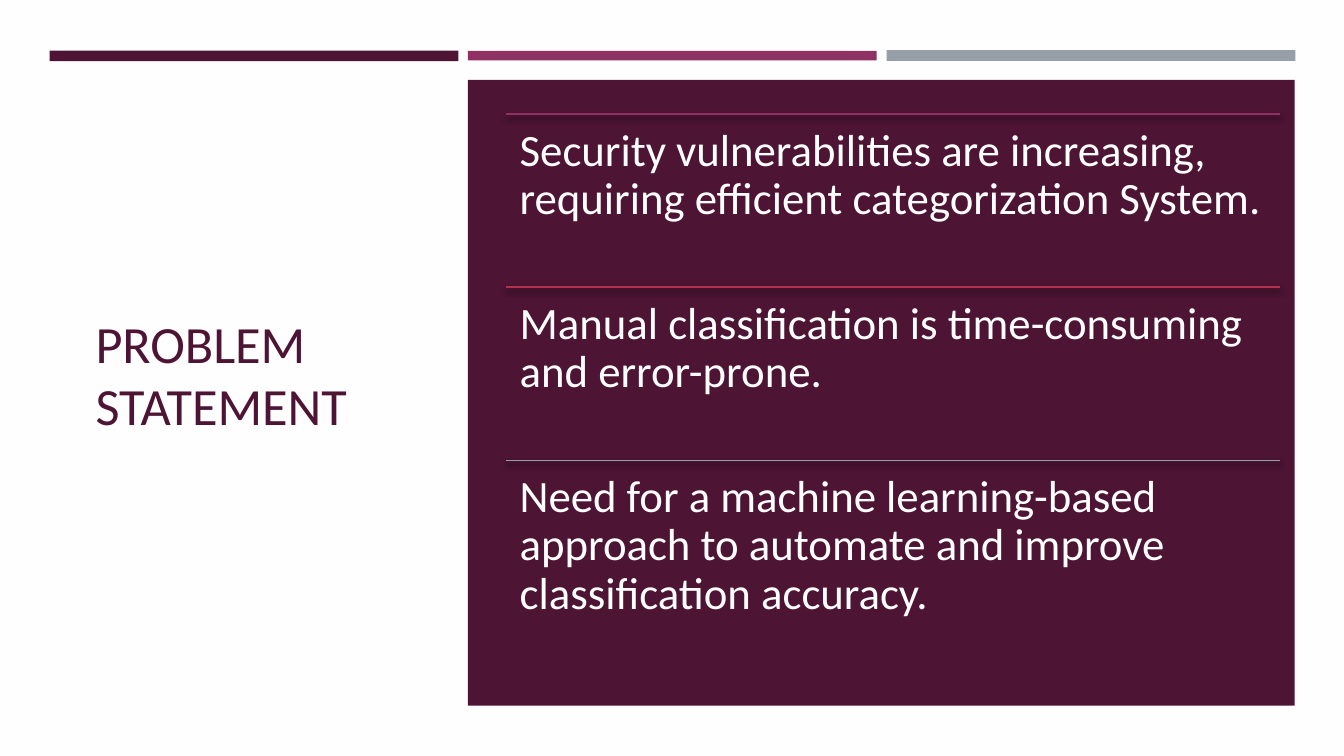
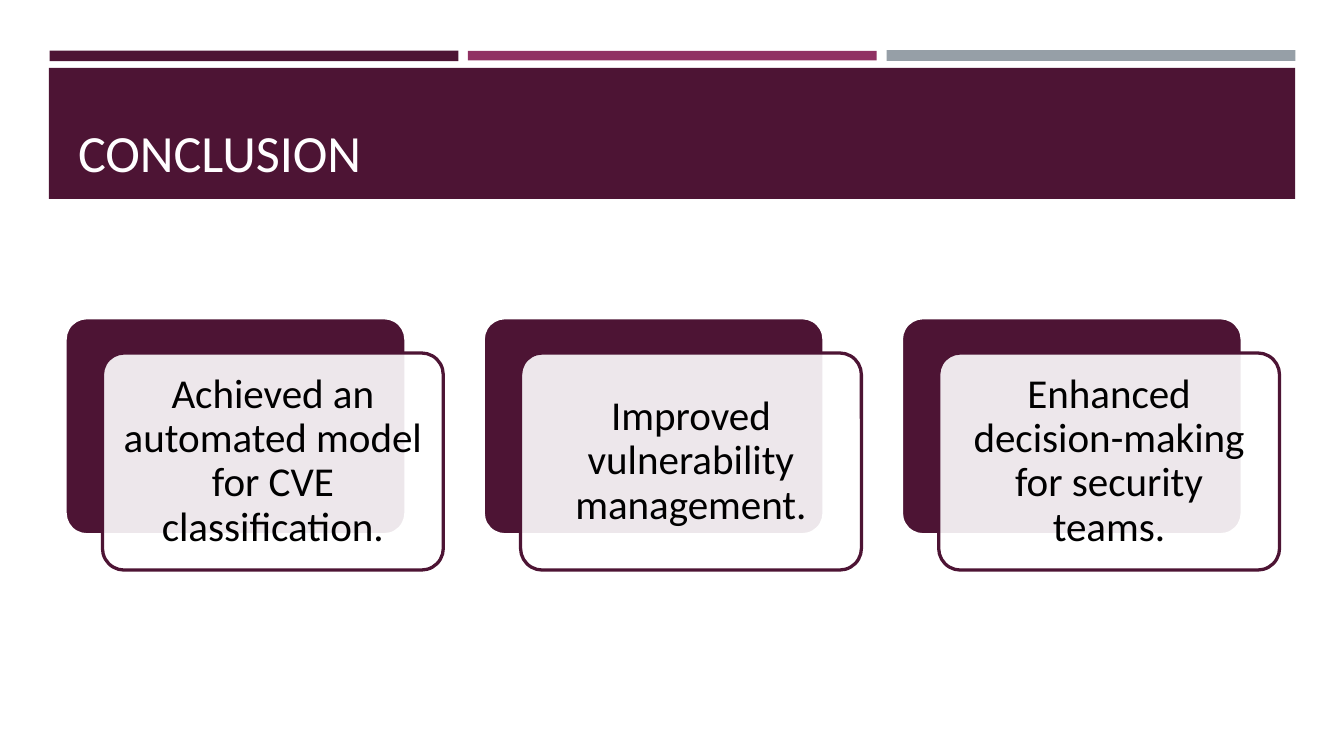
from dataclasses import dataclass

from lxml import etree
from pptx import Presentation
from pptx.dml.color import RGBColor
from pptx.enum.shapes import MSO_CONNECTOR, MSO_SHAPE
from pptx.enum.text import MSO_ANCHOR, MSO_AUTO_SIZE, PP_ALIGN
from pptx.oxml.ns import qn
from pptx.util import Pt

RECT, ROUND = MSO_SHAPE.RECTANGLE, MSO_SHAPE.ROUNDED_RECTANGLE
STRAIGHT = MSO_CONNECTOR.STRAIGHT
LEFT, CENTER = PP_ALIGN.LEFT, PP_ALIGN.CENTER
TOP, MIDDLE, BOTTOM = MSO_ANCHOR.TOP, MSO_ANCHOR.MIDDLE, MSO_ANCHOR.BOTTOM
FIXED = MSO_AUTO_SIZE.NONE

FONT = "Calibri"
PLUM, BERRY, GRAY, RED = "4D1434", "903163", "969FA7", "B2324B"
PAPER, WHITE, BLACK = "FFFEFF", "FFFFFF", "000000"
TITLE_ONLY = 5


@dataclass(frozen=True)
class Box:
    left: float
    top: float
    width: float
    height: float

    def move(self, right=0.0, down=0.0):
        return Box(self.left + right, self.top + down, self.width, self.height)

    def frame(self):
        return Pt(self.left), Pt(self.top), Pt(self.width), Pt(self.height)


@dataclass(frozen=True)
class Point:
    text: str
    color: str


BANDS = (
    (Box(26.6, 27.2, 219, 5.6), PLUM),
    (Box(250.6, 27.2, 219, 5.2), BERRY),
    (Box(475, 26.8, 219, 5.8), GRAY),
)
POINTS = (
    Point("Security vulnerabilities are increasing, requiring efficient "
          "categorization System.", BERRY),
    Point("Manual classification is time-consuming and error-prone.", RED),
    Point("Need for a machine learning-based approach to automate and improve "
          "classification accuracy.", GRAY),
)
GAINS = (
    "Achieved an automated model for CVE classification.",
    "Improved vulnerability management.",
    "Enhanced decision-making for security teams.",
)
ROW = Box(271.3, 61.3, 414.5, 92.7)
CARD = Box(34.9, 170.2, 182.6, 116.3)
PITCH = 224


def rgb(code: str) -> RGBColor:
    return RGBColor.from_string(code)


def write(shape, text: str, *, size: float, color: str, align=LEFT,
          anchor=TOP, pad=(7.2, 3.6), space=1.0) -> None:
    frame = shape.text_frame
    frame.word_wrap = True
    frame.auto_size = FIXED
    frame.vertical_anchor = anchor
    frame.margin_left = frame.margin_right = Pt(pad[0])
    frame.margin_top = frame.margin_bottom = Pt(pad[1])
    para = frame.paragraphs[0]
    para.alignment = align
    para.line_spacing = space
    run = para.add_run()
    run.text = text
    run.font.name = FONT
    run.font.size = Pt(size)
    run.font.color.rgb = rgb(color)


def block(slide, box: Box, fill: str, *, kind=RECT, line: str = ""):
    shape = slide.shapes.add_shape(kind, *box.frame())
    shape.shadow.inherit = False
    shape.fill.solid()
    shape.fill.fore_color.rgb = rgb(fill)
    if line:
        shape.line.color.rgb = rgb(line)
        shape.line.width = Pt(1.75)
    else:
        shape.line.fill.background()
    if kind == ROUND:
        shape.adjustments[0] = 0.1
    return shape


def fade(node, alpha: int) -> None:
    etree.SubElement(node, qn("a:alpha"), val=str(alpha * 1000))


def rule(slide, box: Box, color: str) -> None:
    left, top, width, _ = box.frame()
    line = slide.shapes.add_connector(STRAIGHT, left, top, left + width, top)
    line.line.color.rgb = rgb(color)
    line.line.width = Pt(1)
    props = line._element.spPr
    glow = etree.SubElement(props, qn("a:effectLst"))
    shade = etree.SubElement(glow, qn("a:outerShdw"), blurRad=str(Pt(3)),
                             dist=str(Pt(2)), dir="5400000", rotWithShape="0")
    fade(etree.SubElement(shade, qn("a:srgbClr"), val=BLACK), 55)


def start(deck, paper: str, panel: Box):
    slide = deck.slides.add_slide(deck.slide_layouts[TITLE_ONLY])
    slide.background.fill.solid()
    slide.background.fill.fore_color.rgb = rgb(paper)
    for box, color in BANDS:
        block(slide, box, color)
    block(slide, panel, PLUM)
    return slide


def head(slide, text: str, box: Box, color: str, anchor) -> None:
    title = slide.shapes.title
    title.left, title.top, title.width, title.height = box.frame()
    tree = slide.shapes._spTree
    tree.append(title._element)
    write(title, text, size=28, color=color, anchor=anchor)


def problem(deck) -> None:
    slide = start(deck, PAPER, Box(250.6, 42.8, 443, 335.2))
    head(slide, "PROBLEM STATEMENT", Box(44, 61.2, 180, 278), PLUM, MIDDLE)
    for i, point in enumerate(POINTS):
        box = ROW.move(down=i * ROW.height)
        rule(slide, box, point.color)
        area = slide.shapes.add_textbox(*box.frame())
        write(area, point.text, size=24, color=WHITE, pad=(7.2, 7.2), space=0.9)


def close(deck) -> None:
    slide = start(deck, WHITE, Box(26.2, 36.3, 667.6, 70.2))
    head(slide, "CONCLUSION", Box(34.6, 41.8, 651.6, 59.6), PAPER, BOTTOM)
    for i, gain in enumerate(GAINS):
        box = CARD.move(right=i * PITCH)
        block(slide, box, PLUM, kind=ROUND, line=WHITE)
        card = block(slide, box.move(20, 18.9), WHITE, kind=ROUND, line=PLUM)
        fade(card._element.spPr.find(qn("a:solidFill"))[0], 90)
        write(card, gain, size=22, color=BLACK, align=CENTER, anchor=MIDDLE,
              pad=(6.5, 6.5), space=0.9)


def main() -> None:
    """Build the two slides and save the deck."""
    deck = Presentation()
    deck.slide_width, deck.slide_height = Pt(720), Pt(405)
    problem(deck)
    close(deck)
    deck.save("out.pptx")


if __name__ == "__main__":
    main()
